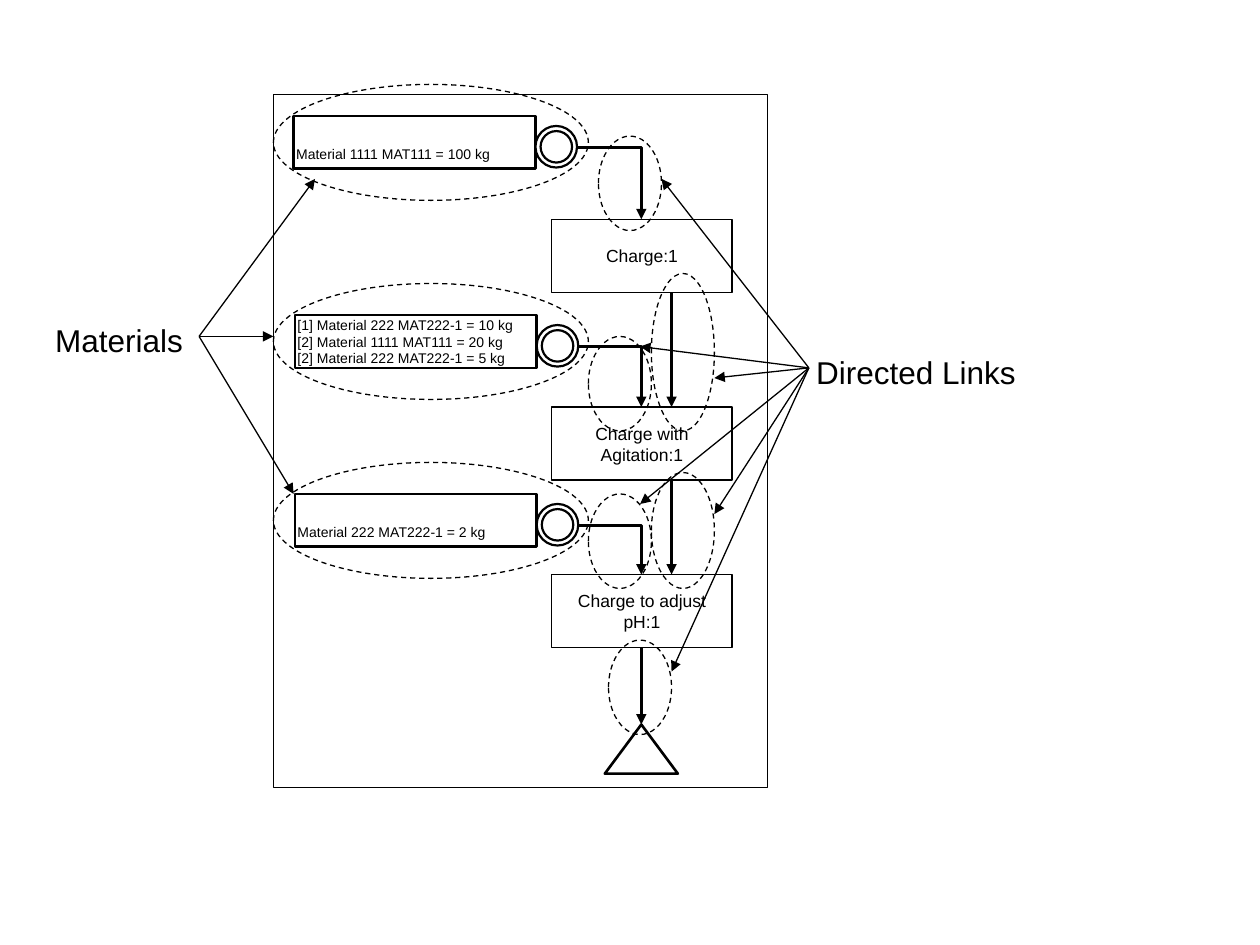
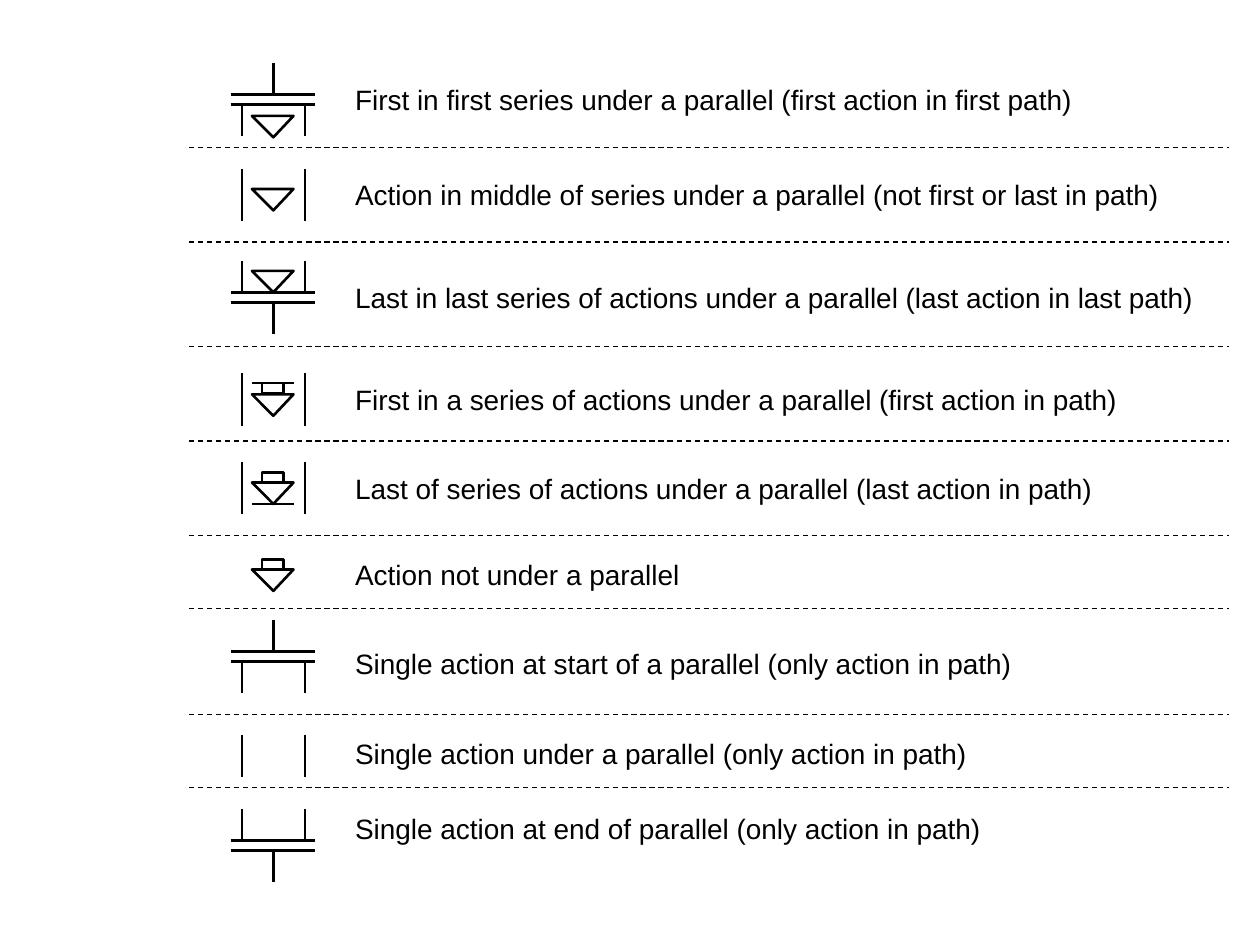
import dataclasses

import pptx
import pptx.dml.color
import pptx.enum.dml
import pptx.enum.shapes
import pptx.enum.text
import pptx.oxml.ns
import pptx.util
from lxml import etree

Inches = pptx.util.Inches
Pt = pptx.util.Pt
SHAPE = pptx.enum.shapes.MSO_SHAPE
CONNECTOR = pptx.enum.shapes.MSO_CONNECTOR
ANCHOR = pptx.enum.text.MSO_ANCHOR
ALIGN = pptx.enum.text.PP_ALIGN
qn = pptx.oxml.ns.qn

COLORS = {"ink": "000000", "paper": "FFFFFF"}
FONT = "Arial"
THIN, RING, THICK = 0.75, 1.25, 1.5
LABEL_SLACK = 0.06  # keeps each label on one line


@dataclasses.dataclass
class Material:
    left: float
    top: float
    lines: tuple[str, ...]
    halo_top: float


@dataclasses.dataclass
class Mark:
    kind: str
    top: float
    bottom: float = 0


@dataclasses.dataclass
class LegendRow:
    text: str
    top: float
    width: float
    marks: tuple[Mark, ...]


# Shared drawing functions
def rgb(name: str) -> pptx.dml.color.RGBColor:
    return pptx.dml.color.RGBColor.from_string(COLORS[name])


def style_line(line, width: float, dashed: bool = False) -> None:
    line.color.rgb = rgb("ink")
    line.width = Pt(width)
    if dashed:
        line.dash_style = pptx.enum.dml.MSO_LINE.DASH


def style_shape(sp, width: float, filled: bool = True, dashed: bool = False) -> None:
    sp.shadow.inherit = False
    if filled:
        sp.fill.solid()
        sp.fill.fore_color.rgb = rgb("paper")
    else:
        sp.fill.background()
    style_line(sp.line, width, dashed)


def add_shape(shapes, kind, box: tuple, width: float, filled: bool = True,
              dashed: bool = False):
    sp = shapes.add_shape(kind, *map(Inches, box))
    style_shape(sp, width, filled, dashed)
    return sp


def add_halo(shapes, box: tuple) -> None:
    add_shape(shapes, SHAPE.OVAL, box, THIN, filled=False, dashed=True)


def add_line(shapes, start: tuple, end: tuple, width: float = THICK,
             dashed: bool = False, arrow: bool = False, bent: bool = False) -> None:
    kind = CONNECTOR.ELBOW if bent else CONNECTOR.STRAIGHT
    cxn = shapes.add_connector(kind, *map(Inches, start + end))
    style_line(cxn.line, width, dashed)
    spPr = cxn._element.spPr
    if bent:  # a single corner: across, then down
        spPr.find(qn("a:prstGeom")).set("prst", "bentConnector2")
    if arrow:
        etree.SubElement(spPr.find(qn("a:ln")), qn("a:tailEnd"), type="triangle")
    etree.SubElement(spPr, qn("a:effectLst"))


def set_text(sp, lines: tuple, size: float, align=ALIGN.LEFT, **frame_format) -> None:
    tf = sp.text_frame
    for name, value in frame_format.items():
        setattr(tf, name, value)
    for i, text in enumerate(lines):
        p = tf.add_paragraph() if i else tf.paragraphs[0]
        p.alignment = align
        r = p.add_run()
        r.text = text
        for name, value in {"size": Pt(size), "name": FONT}.items():
            setattr(r.font, name, value)
        r.font.color.rgb = rgb("ink")


def add_label(shapes, text: str, box: tuple, size: float) -> None:
    left, top, width, height = box
    sp = shapes.add_textbox(*map(Inches, (left, top, width + LABEL_SLACK, height)))
    set_text(sp, (text,), size, word_wrap=True)


# Slide 1: recipe procedure with materials and directed links
MATERIALS = (
    Material(2.33, 0.92, ("Material 1111 MAT111 = 100 kg",), 0.67),
    Material(2.34, 2.5, ("[1] Material 222 MAT222-1 = 10 kg",
                         "[2] Material 1111 MAT111 = 20 kg",
                         "[2] Material 222 MAT222-1 = 5 kg"), 2.25),
    Material(2.34, 3.92, ("Material 222 MAT222-1 = 2 kg",), 3.67),
)
ACTIONS = (("Charge:1", 1.74), ("Charge with Agitation:1", 3.23),
           ("Charge to adjust pH:1", 4.56))
ACTION_HEIGHT = 0.58
MATERIAL_LINK_X, ACTION_LINK_X = 5.09, 5.33
END_TOP = 5.75
LINK_HALOS = ((5.17, 2.17, 0.5, 1.25), (4.67, 2.67, 0.5, 0.75),
              (4.67, 3.92, 0.5, 0.75), (4.75, 1.08, 0.5, 0.75),
              (5.17, 3.75, 0.5, 0.92), (4.83, 5.08, 0.5, 0.75))
# Callout: text, text box, pointer start, pointer ends
CALLOUTS = (
    ("Directed Links", (6.38, 2.75, 1.78, 0.4), (6.42, 2.92),
     ((5.33, 5.33), (5.67, 4.08), (5.08, 4), (5.67, 3), (5.08, 2.75), (5.25, 1.42))),
    ("Materials", (0.34, 2.5, 1.21, 0.4), (1.58, 2.67),
     ((2.17, 2.67), (2.5, 1.42), (2.33, 3.92))),
)


def add_material(shapes, material: Material) -> None:
    group = shapes.add_group_shape().shapes
    left, top = material.left, material.top
    several = len(material.lines) > 1
    side, edge = Inches(0.02), Inches(0.02 if several else 0.05)
    sp = add_shape(group, SHAPE.RECTANGLE, (left, top, 1.92, 0.42), THICK)
    set_text(sp, material.lines, 8, word_wrap=True,
             vertical_anchor=ANCHOR.MIDDLE if several else ANCHOR.BOTTOM,
             margin_left=side, margin_right=side, margin_top=edge, margin_bottom=edge)
    for inset in (0, 0.04):
        size = 0.33 - 2 * inset
        add_shape(group, SHAPE.OVAL,
                  (left + 1.92 + inset, top + 0.08 + inset, size, size), RING)


def build_procedure(slide) -> None:
    shapes = slide.shapes
    add_shape(shapes, SHAPE.RECTANGLE, (2.17, 0.75, 3.92, 5.5), THIN, filled=False)
    for material in MATERIALS:
        add_material(shapes, material)
    for text, top in ACTIONS:
        sp = add_shape(shapes, SHAPE.RECTANGLE, (4.38, top, 1.43, ACTION_HEIGHT), THIN)
        set_text(sp, (text,), 10, ALIGN.CENTER, word_wrap=True,
                 vertical_anchor=ANCHOR.MIDDLE)

    # Links from materials to actions, between actions, and to the end
    tops = [top for _, top in ACTIONS]
    for material, top in zip(MATERIALS, tops):
        add_line(shapes, (material.left + 2.25, material.top + 0.25),
                 (MATERIAL_LINK_X, top), arrow=True, bent=True)
    add_shape(shapes, SHAPE.ISOSCELES_TRIANGLE, (4.8, END_TOP, 0.58, 0.39), THICK)
    add_line(shapes, (MATERIAL_LINK_X, tops[-1] + ACTION_HEIGHT),
             (MATERIAL_LINK_X, END_TOP), arrow=True)
    for above, below in zip(tops, tops[1:]):
        add_line(shapes, (ACTION_LINK_X, above + ACTION_HEIGHT),
                 (ACTION_LINK_X, below), arrow=True)

    # Dashed halos and callouts
    material_halos = [(2.17, material.halo_top, 2.5, 0.92) for material in MATERIALS]
    for box in [*LINK_HALOS, *material_halos]:
        add_halo(shapes, box)
    for text, box, start, ends in CALLOUTS:
        add_label(shapes, text, box, 18)
        for end in ends:
            add_line(shapes, start, end, THIN, arrow=True)


# Slide 2: legend of action symbols
LEGEND = (
    LegendRow("First in first series under a parallel (first action in first path)",
              0.61, 5.89, (Mark("bars", 0.75), Mark("rails", 0.83, 1.08),
                           Mark("stem", 0.5, 0.75), Mark("triangle", 0.92))),
    LegendRow("Action in middle of series under a parallel (not first or last in path)",
              1.36, 6.58, (Mark("triangle", 1.5), Mark("rails", 1.34, 1.75))),
    LegendRow("Last in last series of actions under a parallel (last action in last path)",
              2.18, 6.85, (Mark("triangle", 2.15), Mark("bars", 2.32),
                           Mark("rails", 2.07, 2.32), Mark("stem", 2.4, 2.65))),
    LegendRow("First in a series of actions under a parallel (first action in path)",
              2.99, 6.25, (Mark("triangle", 3.13), Mark("edge", 3.04),
                           Mark("box", 3.04), Mark("rails", 2.96, 3.38))),
    LegendRow("Last of series of actions under a parallel (last action in path)",
              3.69, 6.05, (Mark("rails", 3.67, 4.08), Mark("triangle", 3.83),
                           Mark("edge", 4), Mark("box", 3.75))),
    LegendRow("Action not under a parallel",
              4.38, 2.77, (Mark("triangle", 4.52), Mark("box", 4.44))),
    LegendRow("Single action at start of a parallel (only action in path)",
              5.08, 5.41, (Mark("bars", 5.17), Mark("rails", 5.25, 5.5),
                           Mark("stem", 4.92, 5.17))),
    LegendRow("Single action under a parallel (only action in path)",
              5.8, 5.05, (Mark("rails", 5.83, 6.17),)),
    LegendRow("Single action at end of parallel (only action in path)",
              6.39, 5.16, (Mark("bars", 6.67), Mark("rails", 6.42, 6.67),
                           Mark("stem", 6.75, 7))),
)
DIVIDERS = (1.17, 1.92, 2.75, 3.5, 4.25, 4.83, 5.67, 6.25)
VERTICALS = {"stem": (2.17,), "rails": (1.92, 2.42)}
# Horizontal marks: left, right, offsets from the top
HORIZONTALS = {"bars": (1.83, 2.5, (0, 0.08)), "edge": (2, 2.33, (0,))}


def add_mark(shapes, mark: Mark) -> None:
    if mark.kind in VERTICALS:
        for x in VERTICALS[mark.kind]:
            add_line(shapes, (x, mark.top), (x, mark.bottom))
    elif mark.kind in HORIZONTALS:
        left, right, offsets = HORIZONTALS[mark.kind]
        for offset in offsets:
            add_line(shapes, (left, mark.top + offset), (right, mark.top + offset))
    elif mark.kind == "box":
        add_shape(shapes, SHAPE.RECTANGLE, (2.08, mark.top, 0.17, 0.08), THICK)
    else:
        builder = shapes.build_freeform(Inches(2), Inches(mark.top))
        builder.add_line_segments([(Inches(2.33), Inches(mark.top)),
                                   (Inches(2.17), Inches(mark.top + 0.17))], close=True)
        style_shape(builder.convert_to_shape(), THICK)


def build_legend(slide) -> None:
    shapes = slide.shapes
    for row in LEGEND:
        add_label(shapes, row.text, (2.72, row.top, row.width, 0.37), 16)
        symbol = shapes.add_group_shape().shapes
        for mark in row.marks:
            add_mark(symbol, mark)
    for y in DIVIDERS:
        add_line(shapes, (1.5, y), (9.75, y), THIN, dashed=True)


def main() -> None:
    prs = pptx.Presentation()
    prs.slide_width, prs.slide_height = Inches(10), Inches(7.5)
    for build in (build_procedure, build_legend):
        build(prs.slides.add_slide(prs.slide_layouts[6]))
    prs.save("out.pptx")


if __name__ == "__main__":
    main()
